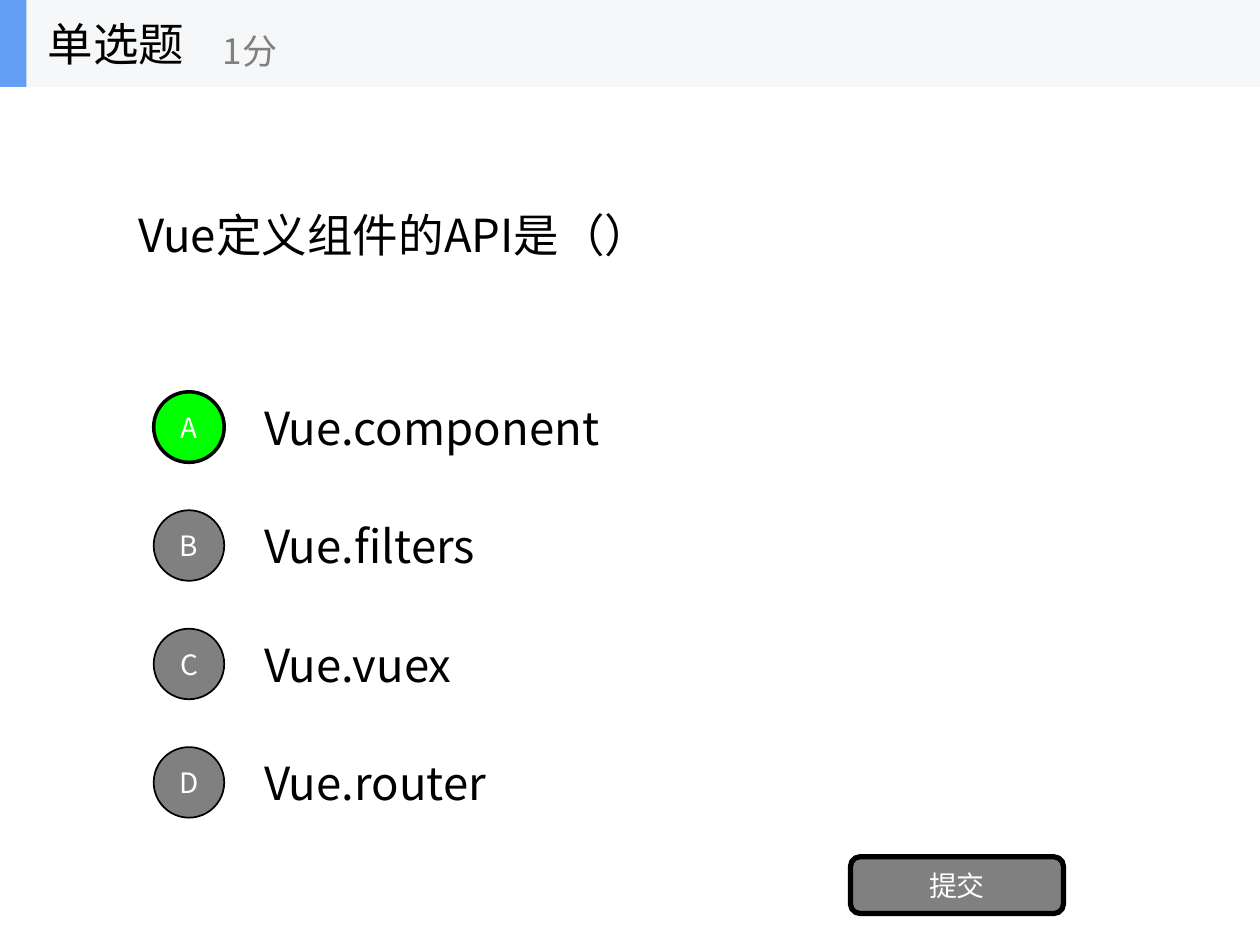
"""Build a single-choice quiz slide."""
from dataclasses import dataclass

from lxml import etree
from pptx import Presentation
from pptx.dml.color import RGBColor
from pptx.enum.shapes import MSO_SHAPE
from pptx.enum.text import MSO_ANCHOR, MSO_AUTO_SIZE, PP_ALIGN
from pptx.oxml.ns import qn
from pptx.util import Inches, Pt

LEFT, CENTER = PP_ALIGN.LEFT, PP_ALIGN.CENTER
MIDDLE = MSO_ANCHOR.MIDDLE
FIXED = MSO_AUTO_SIZE.NONE
RECT, OVAL = MSO_SHAPE.RECTANGLE, MSO_SHAPE.OVAL
ROUND = MSO_SHAPE.ROUNDED_RECTANGLE


@dataclass(frozen=True)
class Theme:
    """Hold the colours, font and type sizes."""
    font: str = "Noto Sans CJK SC"
    ink: str = "000000"
    paper: str = "FFFFFF"
    gray: str = "808080"
    right: str = "00FF00"
    band: str = "F6F7F8"
    accent: str = "639EF4"
    large: int = 26
    medium: int = 20
    small: int = 16


THEME = Theme()
CHOICES = ["Vue.component", "Vue.filters", "Vue.vuex", "Vue.router"]
ANSWER = 0
TOP, PITCH = 3.04, 0.94


def write(shape, text, size=THEME.large, color=THEME.ink, align=LEFT, inset=0.1):
    """Put formatted text into a shape."""
    frame = shape.text_frame
    frame.word_wrap = True
    frame.auto_size = FIXED
    frame.vertical_anchor = MIDDLE
    frame.margin_left = frame.margin_right = Inches(inset)
    frame.margin_top = frame.margin_bottom = Inches(inset / 2)
    para = frame.paragraphs[0]
    para.alignment = align
    run = para.add_run()
    run.text = text
    font = run.font
    font.name = THEME.font
    font.size = Pt(size)
    font.color.rgb = RGBColor.from_string(color)
    east = etree.SubElement(run._r.get_or_add_rPr(), qn("a:ea"))
    east.set("typeface", THEME.font)


def label(shapes, box, text, **style):
    """Add a text box."""
    write(shapes.add_textbox(*map(Inches, box)), text, **style)


def block(shapes, kind, box, fill, line=0):
    """Add a filled shape, outlined when a line width is given."""
    shape = shapes.add_shape(kind, *map(Inches, box))
    shape.shadow.inherit = False
    shape.fill.solid()
    shape.fill.fore_color.rgb = RGBColor.from_string(fill)
    if line:
        shape.line.width = Pt(line)
        shape.line.color.rgb = RGBColor.from_string(THEME.ink)
    else:
        shape.line.fill.background()
    return shape


def button(shapes, kind, box, text, fill, line):
    """Add a shape with a centred caption."""
    shape = block(shapes, kind, box, fill, line)
    write(shape, text, size=THEME.small, color=THEME.paper, align=CENTER, inset=0)


def ask(slide, text):
    """Place the question in the title."""
    title = slide.shapes.title
    title.left, title.top, title.width, title.height = map(Inches, (1, 0.69, 8, 2.34))
    write(title, text)


def header(slide):
    """Add the grouped header band."""
    shapes = slide.shapes.add_group_shape().shapes
    block(shapes, RECT, (0, 0, 10, 0.69), THEME.band)
    block(shapes, RECT, (0, 0, 0.21, 0.69), THEME.accent)
    label(shapes, (0.28, 0, 2.08, 0.69), "单选题")
    label(shapes, (1.67, 0.12, 2.5, 0.56), "1分", size=THEME.medium, color=THEME.gray)


def options(slide):
    """Add the choices with their lettered marks."""
    for row, text in enumerate(CHOICES):
        label(slide.shapes, (2, TOP + row * PITCH, 7, 0.7), text)
    for row, letter in enumerate("ABCD"):
        fill, line = (THEME.right, 2) if row == ANSWER else (THEME.gray, 1)
        box = (1.22, TOP + 0.07 + row * PITCH, 0.56, 0.56)
        button(slide.shapes, OVAL, box, letter, fill, line)


def main():
    """Build and save the slide."""
    deck = Presentation()
    deck.slide_width, deck.slide_height = Inches(10), Inches(7.5)
    slide = deck.slides.add_slide(deck.slide_layouts[5])
    ask(slide, "Vue定义组件的API是（）")
    options(slide)
    button(slide.shapes, ROUND, (6.75, 6.8, 1.69, 0.45), "提交", THEME.gray, 3)
    header(slide)
    deck.save("out.pptx")


if __name__ == "__main__":
    main()
